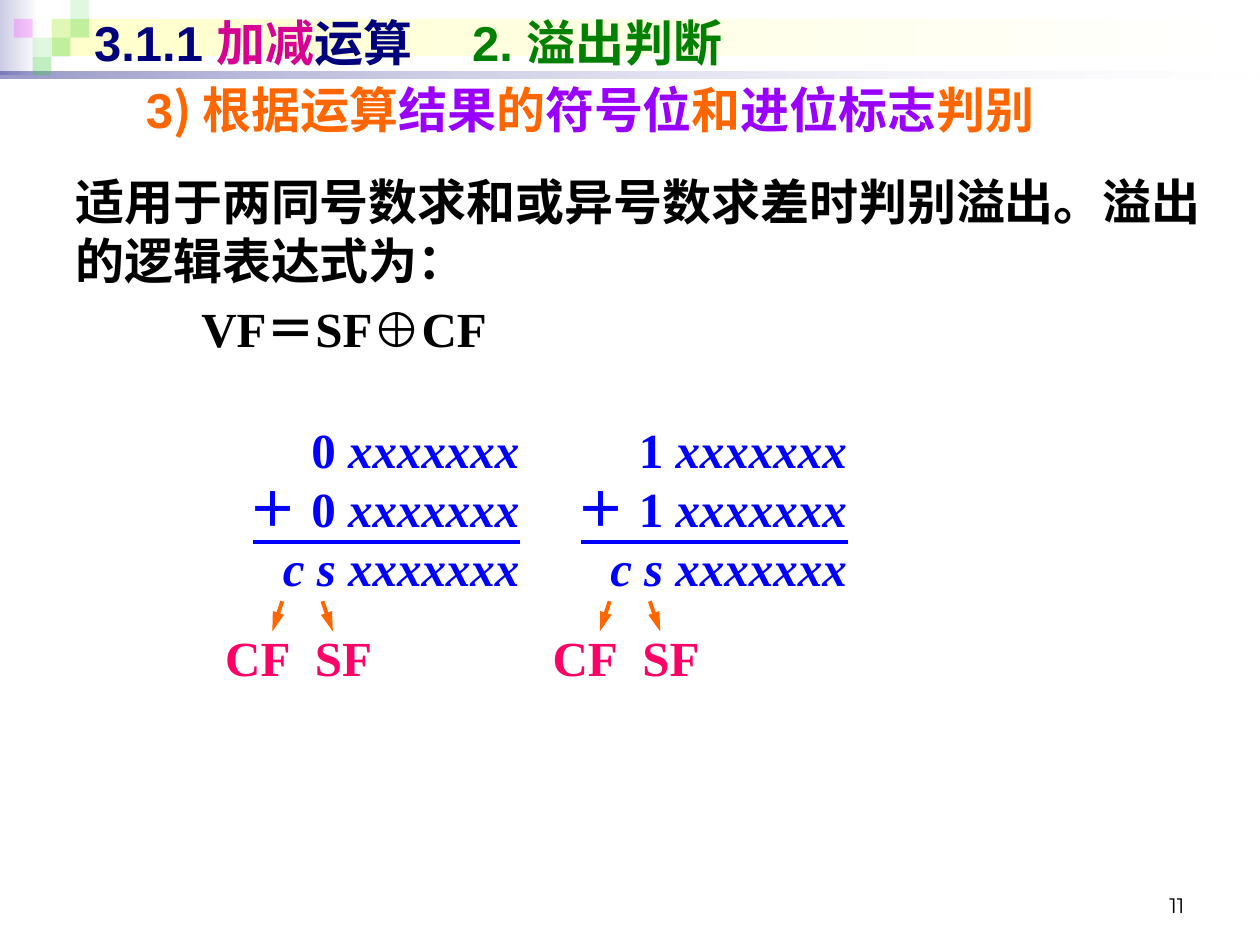
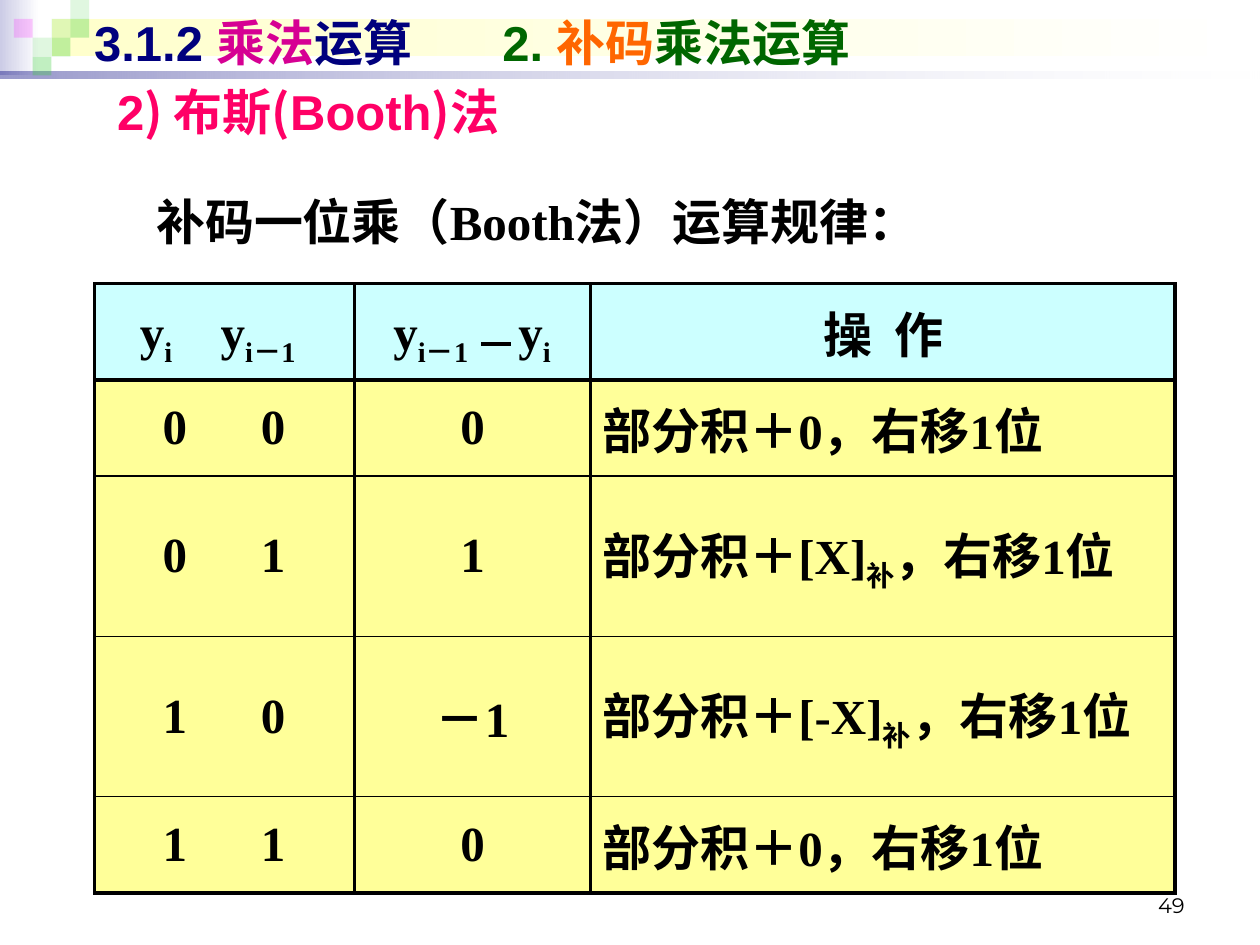
import pptx
import pptx.util
import pptx.dml.color
import pptx.enum.shapes
import pptx.enum.text
import pptx.oxml.ns
from lxml import etree

Cm, Pt = pptx.util.Cm, pptx.util.Pt
qn = pptx.oxml.ns.qn
Align = pptx.enum.text.PP_ALIGN
Anchor = pptx.enum.text.MSO_ANCHOR
Line = pptx.enum.shapes.MSO_CONNECTOR.STRAIGHT
Rect = pptx.enum.shapes.MSO_SHAPE.RECTANGLE

SANS, SERIF, CJK, ROUND = "Arial", "Times New Roman", "Noto Sans CJK SC", "Montserrat"
BLACK, NAVY, PINK, BLUE = "000000", "00007D", "D60093", "0000FF"
GREEN, DEEP, ORANGE = "008000", "006600", "FF6600"
PURPLE, ROSE = "9900FF", "FF0066"


def tint(color, code, alpha=100):
    color.rgb = pptx.dml.color.RGBColor.from_string(code)
    if alpha < 100:
        node = color._xFill.find(qn("a:srgbClr"))
        etree.SubElement(node, qn("a:alpha")).set("val", str(alpha * 1000))


def write(frame, *paras, size=28, font=SERIF, asian=ROUND, color=BLACK, bold=True,
          align=None, anchor=None, tab=None, gap=0):
    """Each paragraph is a list of runs: (text, changes to the format)."""
    if anchor is not None:
        frame.word_wrap = True
        frame.vertical_anchor = anchor
    for n, runs in enumerate(paras):
        para = frame.paragraphs[0] if n == 0 else frame.add_paragraph()
        para.alignment = align
        if n and gap:
            para.space_before = Pt(gap)
        if tab:
            tabs = etree.SubElement(para._p.get_or_add_pPr(), qn("a:tabLst"))
            stop = etree.SubElement(tabs, qn("a:tab"))
            stop.set("pos", str(Cm(tab)))
            stop.set("algn", "l")
        for text, more in runs:
            run = para.add_run()
            run.text = text
            run.font.size = Pt(size)
            run.font.bold = bold
            run.font.italic = more.get("italic", False)
            run.font.name = more.get("font", font)
            tint(run.font.color, more.get("color", color))
            props = run._r.get_or_add_rPr()
            if more.get("sub"):
                props.set("baseline", "-25000")
            etree.SubElement(props, qn("a:ea")).set("typeface", asian)


deck = pptx.Presentation()
deck.slide_width, deck.slide_height = Cm(25.4), Cm(19.05)

# Shared header: gradient bands, small squares, title, page number
bands = [((0, 0, 0.79, 1.52), ("CCCCE6", 100), ("FFFFFF", 100)),
         ((1.04, 0.38, 24.26, 0.76), ("FFFFCC", 100), ("FFFFFF", 100)),
         ((0, 1.45, 25.4, 0.13), (NAVY, 40), ("FFFFFF", 10))]
SIDE = 0.38
tiles = [(2, 1, "33CC33", 15), (3, 0, "33CC33", 15), (3, 1, "33CC33", 30),
         (1, 2, "33CC33", 15), (0, 1, "FF00FF", 20), (2, 2, "33CC33", 30),
         (1, 3, "33CC33", 30)]
heads = [
    ("11", 7.62, [("3.1.1 ", {}), ("加减", {"color": PINK}), ("运算\t", {}),
                  ("2. 溢出判断", {"color": GREEN})]),
    ("49", 8.23, [("3.1.2 ", {}), ("乘法", {"color": PINK}), ("运算\t", {}),
                  ("2. ", {"color": DEEP}), ("补码", {"color": ORANGE}),
                  ("乘法运算", {"color": DEEP})]),
]
slides = []
for page, tab, title in heads:
    slide = deck.slides.add_slide(deck.slide_layouts[6])
    slides.append(slide)
    for place, start, end in bands:
        band = slide.shapes.add_shape(Rect, *map(Cm, place))
        band.shadow.inherit = False
        band.line.fill.background()
        band.fill.gradient()
        band.fill.gradient_angle = 0
        for stop, shade in zip(band.fill.gradient_stops, (start, end)):
            tint(stop.color, *shade)
    for col, row, code, alpha in tiles:
        tile = slide.shapes.add_shape(Rect, Cm(0.28 + col * SIDE), Cm(row * SIDE),
                                      Cm(SIDE), Cm(SIDE))
        tile.shadow.inherit = False
        tile.line.fill.background()
        tile.fill.solid()
        tint(tile.fill.fore_color, code, alpha)
    box = slide.shapes.add_textbox(Cm(18.21), Cm(17.35), Cm(5.92), Cm(1.27))
    write(box.text_frame, [(page, {})], size=12, font=ROUND, bold=False,
          align=Align.RIGHT, anchor=Anchor.BOTTOM)
    box = slide.shapes.add_textbox(Cm(1.65), Cm(0.13), Cm(22.86), Cm(1.45))
    write(box.text_frame, title, font=SANS, color=NAVY, anchor=Anchor.MIDDLE, tab=tab)
first, second = slides

# Subtitles
mark = {"color": PURPLE}
subs = [
    (first, (2.69, 1.47, 22.07, 1.45), ORANGE,
     [("3", {}), (") ", {"font": CJK}), ("根据运算", {}), ("结果", mark), ("的", {}),
      ("符号位", mark), ("和", {}), ("进位标志", mark), ("判别", {})]),
    (second, (2.11, 1.52, 22.25, 1.45), ROSE,
     [("2", {}), (") ", {"font": CJK}), ("布斯", {}), ("(", {"font": CJK}),
      ("Booth", {}), (")", {"font": CJK}), ("法", {})]),
]
for slide, place, code, runs in subs:
    box = slide.shapes.add_textbox(*map(Cm, place))
    write(box.text_frame, runs, font=SANS, color=code, anchor=Anchor.MIDDLE)

# Lead text
box = first.shapes.add_textbox(Cm(1.27), Cm(3.33), Cm(23.62), Cm(4.19))
write(box.text_frame,
      [("适用于两同号数求和或异号数求差时判别溢出。溢出的逻辑表达式为：", {})],
      [("\tVF＝SF⊕CF", {})], anchor=Anchor.TOP, tab=2.54, gap=5.6)
box = second.shapes.add_textbox(Cm(2.9), Cm(3.73), Cm(21.62), Cm(1.6))
write(box.text_frame, [("补码一位乘（Booth法）运算规律：", {})], anchor=Anchor.TOP)

# Two sums with their flags; every line is (slide, ends, colour, arrow)
lines = [(second, (9.7, 6.93, 10.31, 6.93), BLACK, False)]
slant = {"italic": True}
for digit, left in (("0", 3.71), ("1", 10.31)):
    box = first.shapes.add_textbox(Cm(left), Cm(8.33), Cm(7.01), Cm(3.81))
    write(box.text_frame,
          [(digit + " ", {}), ("xxxxxxx", slant)],
          [("＋ " + digit + " ", {}), ("xxxxxxx", slant)],
          [("c s xxxxxxx", slant)],
          color=BLUE, align=Align.RIGHT, anchor=Anchor.TOP)
    for flag, shift in (("SF", 2.39), ("CF", 0.58)):
        box = first.shapes.add_textbox(Cm(left + shift), Cm(12.52), Cm(2.2), Cm(1.4))
        write(box.text_frame, [(flag, {})], color=ROSE, anchor=Anchor.TOP)
    lines += [(first, (left + 1.4, 10.93, left + 6.78, 10.93), BLUE, False),
              (first, (left + 2.79, 12.12, left + 3, 12.73), ORANGE, True),
              (first, (left + 1.98, 12.12, left + 1.78, 12.73), ORANGE, True)]

# Table of the rules
HEAD, BODY = "CCFFFF", "FFFF99"
sub = {"sub": True}
# A cell is (runs, left margin, tab stop); no margin means centred
rows = [[([("y", {}), ("i", sub), ("\ty", {}), ("i－1", sub)], 0.91, 1.63),
         ([("y", {}), ("i－1", sub), ("\ty", {}), ("i", sub)], 0.78, 2.52),
         ([("操\t作", {})], 4.7, 1.43)]]
plain = [("部分积＋0，右移1位", {})]
for pair, diff, deed in (("00", "0", plain), ("01", "1", "[X]"),
                         ("10", "－1", "[-X]"), ("11", "0", plain)):
    if deed is not plain:
        deed = [("部分积＋" + deed, {}), ("补", sub), ("，右移1位", {})]
    rows.append([([("\t".join(pair), {})], 1.37, 1.98),
                 ([(diff, {})], None, None), (deed, 0.25, None)])

# The two rows whose text wraps are taller
LOW, TALL = 1.94, 3.23
highs = (LOW, LOW, TALL, TALL, LOW)
wides = (5.24, 4.75, 11.79)
table = second.shapes.add_table(5, 3, Cm(1.91), Cm(5.72), Cm(sum(wides)),
                                Cm(sum(highs))).table
table.first_row = table.horz_banding = False
for col, width in zip(table.columns, wides):
    col.width = Cm(width)
for r, cells in enumerate(rows):
    table.rows[r].height = Cm(highs[r])
    for c, (runs, margin, tab) in enumerate(cells):
        cell = table.cell(r, c)
        cell.vertical_anchor = Anchor.MIDDLE
        if margin is not None:
            cell.margin_left = Cm(margin)
        write(cell.text_frame, runs, asian=CJK, tab=tab,
              align=Align.CENTER if margin is None else Align.LEFT)
        cell.fill.solid()
        tint(cell.fill.fore_color, BODY if r else HEAD)
        edges = {"L": 2.25, "R": 2.25, "T": 2.25 if r < 2 else 1,
                 "B": 2.25 if r in (0, 4) else 1}
        for n, (edge, width) in enumerate(edges.items()):
            rule = etree.Element(qn("a:ln" + edge), w=str(Pt(width)))
            fill = etree.SubElement(rule, qn("a:solidFill"))
            etree.SubElement(fill, qn("a:srgbClr")).set("val", BLACK)
            cell._tc.get_or_add_tcPr().insert(n, rule)

# Lines and arrows
for slide, ends, code, arrow in lines:
    link = slide.shapes.add_connector(Line, *map(Cm, ends))
    link.line.width = Pt(2.25)
    link.line.fill.solid()
    tint(link.line.fill.fore_color, code)
    if arrow:
        tip = etree.SubElement(link.line._get_or_add_ln(), qn("a:tailEnd"))
        tip.set("type", "triangle")
        tip.set("len", "lg")
    etree.SubElement(link._element.spPr, qn("a:effectLst"))

deck.save("out.pptx")
